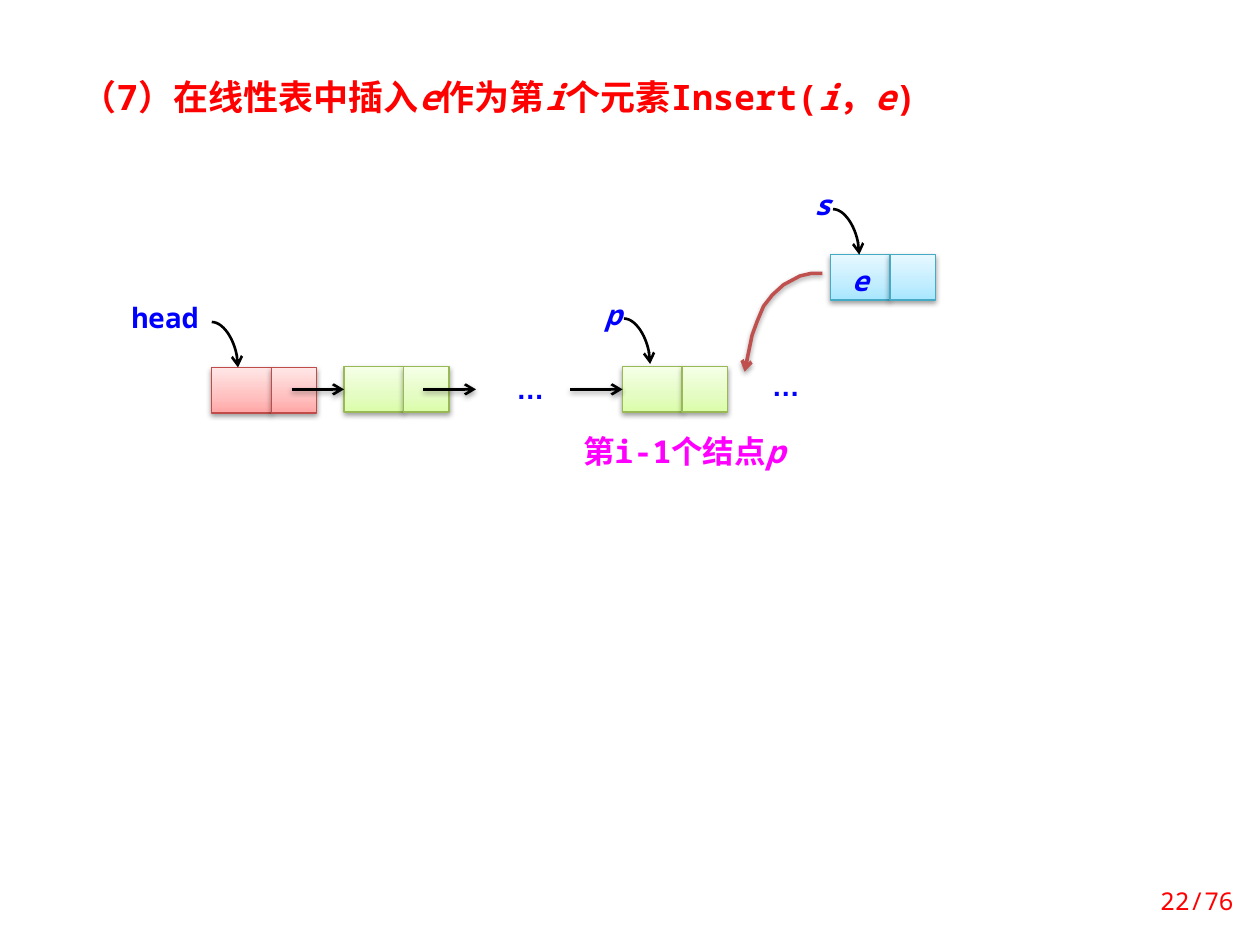
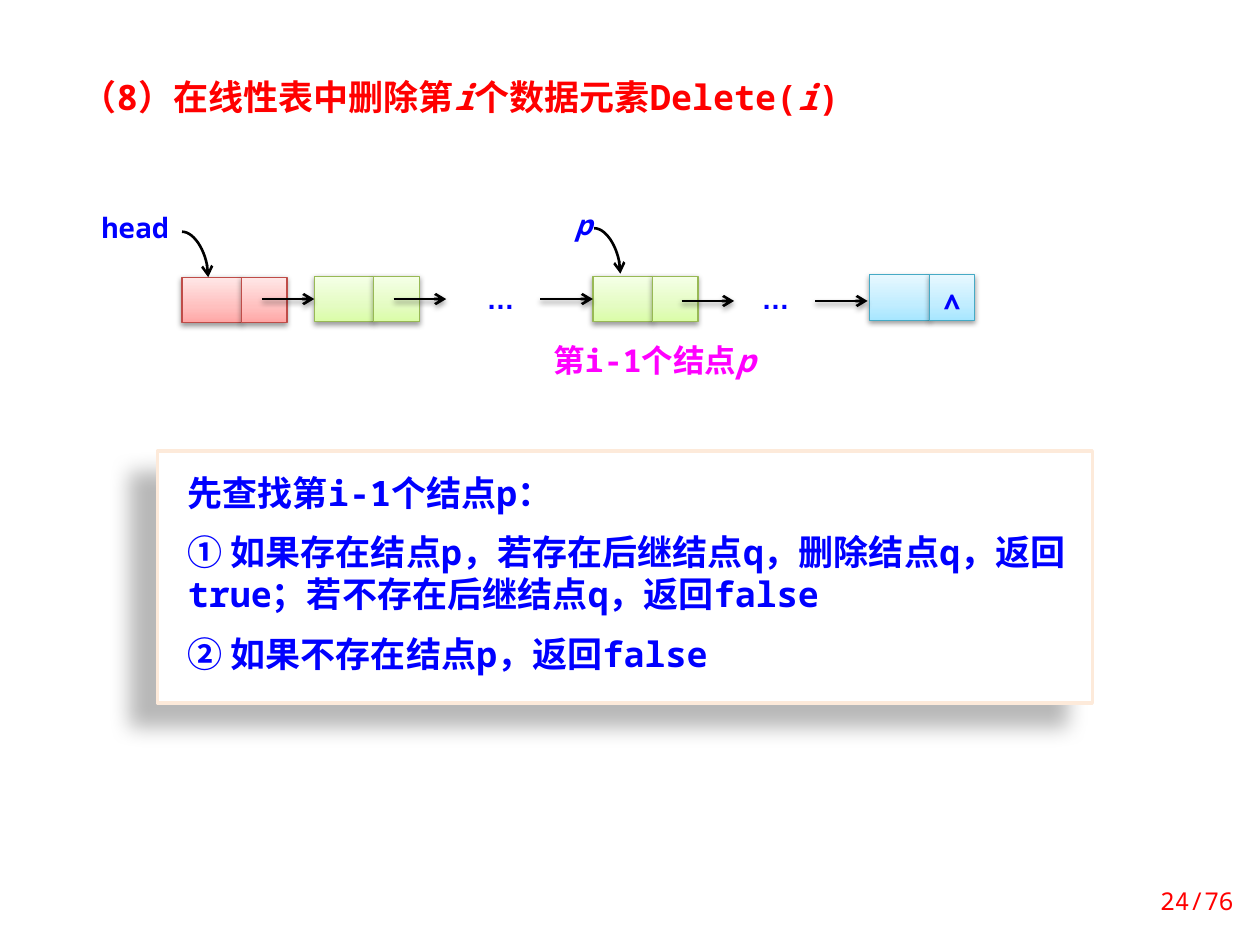
from dataclasses import dataclass

from lxml.etree import SubElement
from copy import deepcopy
from pptx import Presentation
from pptx.dml.color import RGBColor as RGB
from pptx.enum.shapes import MSO_CONNECTOR as CONNECTOR, MSO_SHAPE as SHAPE
from pptx.enum.text import MSO_ANCHOR as ANCHOR, PP_ALIGN as ALIGN
from pptx.oxml.ns import qn
from pptx.util import Pt


@dataclass(frozen=True)
class Theme:
    font: str = "Noto Sans Mono"
    dots_font: str = "Arial"
    title_size: int = 20
    caption_size: int = 18
    label_size: int = 16
    footer_size: int = 14
    red: str = "FF0000"
    blue: str = "0000FF"
    magenta: str = "FF00FF"
    black: str = "000000"
    white: str = "FFFFFF"
    brick: str = "C0504D"
    peach: str = "FDEADA"
    # Node styles: outline, then gradient from bottom to top
    pink_node: tuple = ("BF4C48", "FFA6A5", "FFC0BF", "FFE7E7")
    green_node: tuple = ("98B955", "DAFDA7", "E4FCC2", "F5FFE7")
    blue_node: tuple = ("46AAC5", "A7E6FF", "C1EDFF", "E7F8FF")
    stops: tuple = (0, 0.35, 1)
    # Shadows: opacity %, blur, distance, direction in degrees
    soft_shadow: tuple = (38, 3.1, 1.6, 90)
    panel_shadow: tuple = (28, 11.8, 19.7, 141)


THEME = Theme()
DATA_WIDTH, LINK_WIDTH, NODE_HEIGHT = 34, 26, 26
ARROW_LENGTH = 30
PAGE_TOTAL = 76


def points(*values):
    return [Pt(value) for value in values]


class ListPage:
    """One slide about a linked list, in the shared style."""

    def __init__(self, deck, title, title_width, number):
        self.page = deck.slides.add_slide(deck.slide_layouts[5])
        self.shapes = self.page.shapes
        heading = self.shapes.title
        heading.left, heading.top, heading.width, heading.height = points(
            39.6, 39.6, title_width, 32)
        heading.text_frame.vertical_anchor = ANCHOR.TOP
        self.set_text(heading, [title], THEME.title_size, THEME.red)
        footer = self.shapes.add_textbox(*points(646.6, 500.4, 65.5, 28.8))
        footer.text_frame.vertical_anchor = ANCHOR.MIDDLE
        self.set_text(footer, [f"{number}/{PAGE_TOTAL}"], THEME.footer_size,
                      THEME.red, ALIGN.RIGHT, bold=False)

    def set_text(self, box, texts, size, color, align=ALIGN.LEFT, bold=True,
                 font=THEME.font):
        """Fill a box with paragraphs; text between asterisks is italic."""
        frame = box.text_frame
        frame.word_wrap = True
        for index, text in enumerate(texts):
            para = frame.add_paragraph() if index else frame.paragraphs[0]
            para.alignment = align
            para.font.name, para.font.size, para.font.bold = font, Pt(size), bold
            para.font.color.rgb = RGB.from_string(color)
            if index:
                para.space_before = Pt(size / 2)
            for part, words in enumerate(text.split("*")):
                if words:
                    span = para.add_run()
                    span.text = words
                    if part % 2:
                        span.font.italic = True

    def outline(self, shape, color, width, arrow=False):
        shape.line.color.rgb = RGB.from_string(color)
        shape.line.width = Pt(width)
        if arrow:
            SubElement(shape._element.spPr.find(qn("a:ln")), qn("a:tailEnd"),
                       type="arrow")

    def shade(self, shape, shadow=None):
        """Replace the inherited shadow; call after the line is set."""
        effects = SubElement(shape._element.spPr, qn("a:effectLst"))
        if shadow:
            opacity, blur, distance, direction = shadow
            outer = SubElement(
                effects, qn("a:outerShdw"), blurRad=str(Pt(blur)),
                dist=str(Pt(distance)), dir=str(direction * 60000),
                rotWithShape="0")
            color = SubElement(outer, qn("a:srgbClr"), val=THEME.black)
            SubElement(color, qn("a:alpha"), val=str(opacity * 1000))

    def rectangle(self, left, top, width, height, fill=THEME.white):
        box = self.shapes.add_shape(SHAPE.RECTANGLE,
                                    *points(left, top, width, height))
        box.fill.solid()
        box.fill.fore_color.rgb = RGB.from_string(fill)
        return box

    def center_text(self, box, text, font=THEME.font):
        frame = box.text_frame
        frame.margin_left = frame.margin_right = 0
        frame.margin_top = frame.margin_bottom = 0
        frame.vertical_anchor = ANCHOR.MIDDLE
        self.set_text(box, [text], THEME.label_size, THEME.blue, ALIGN.CENTER,
                      font=font)

    def label(self, text, left, top, width, font=THEME.font):
        box = self.rectangle(left, top, width, 21)
        box.line.fill.background()
        self.shade(box)
        self.center_text(box, text, font)

    def dots(self, left, top):
        self.label("…", left, top, 31, THEME.dots_font)

    def cell(self, left, top, width, style, text):
        line, *colors = style
        box = self.rectangle(left, top, width, NODE_HEIGHT)
        box.fill.gradient()
        box.fill.gradient_angle = 90
        stop_list = box._element.spPr.xpath(".//a:gsLst")[0]
        stop_list.insert(1, deepcopy(stop_list[0]))
        for stop, position, color in zip(box.fill.gradient_stops, THEME.stops,
                                         colors):
            stop.position = position
            stop.color.rgb = RGB.from_string(color)
        self.outline(box, line, 0.75)
        self.shade(box, THEME.soft_shadow)
        if text:
            self.center_text(box, text)
            box.text_frame.paragraphs[0].line_spacing = Pt(23)
        return box

    def node(self, left, top, style, data="", link=""):
        """Draw a data cell and a link cell; return the data cell."""
        data_cell = self.cell(left, top, DATA_WIDTH, style, data)
        self.cell(left + DATA_WIDTH, top, LINK_WIDTH, style, link)
        return data_cell

    def arrow(self, left, y, target=None):
        line = self.shapes.add_connector(
            CONNECTOR.STRAIGHT, *points(left, y, left + ARROW_LENGTH, y))
        if target:
            line.end_connect(target, 1)
        self.outline(line, THEME.black, 1.5, arrow=True)
        self.shade(line, THEME.soft_shadow)

    def curve(self, corners, color, width, shadow=None):
        start, *rest = [points(*corner) for corner in corners]
        builder = self.shapes.build_freeform(*start)
        builder.add_line_segments(rest, close=False)
        line = builder.convert_to_shape()
        line.fill.background()
        self.outline(line, color, width, arrow=True)
        self.shade(line, shadow)

    def pointer(self, text, x, y, width=12):
        """Put a name left of (x, y) and bend an arrow down from there."""
        self.label(text, x - width, y - 13, width)
        reach, drop, steps = 15, 26, 16
        bend = []
        for step in range(steps + 1):
            t = step / steps
            bend.append((x + reach * (1.5 * t - 0.5 * t ** 3),
                         y + drop * (1.5 * t ** 2 - 0.5 * t ** 3)))
        self.curve(bend, THEME.black, 1.5)

    def chain(self, x, y):
        """Draw the list from its head to node p, the head node at (x, y)."""
        self.node(x, y, THEME.pink_node)
        self.pointer("head", x, y - 26, 53.4)
        first = self.node(x + 75.6, y - 0.5, THEME.green_node)
        self.arrow(x + 45.6, y + 12.5, first)
        self.dots(x + 166.5, y + 1.4)
        self.arrow(x + 121, y + 12.5)
        previous = self.node(x + 234.8, y - 0.5, THEME.green_node)
        self.arrow(x + 204.8, y + 12.5, previous)
        caption = self.shapes.add_textbox(*points(x + 205.2, y + 33.2, 129.6, 29))
        self.set_text(caption, ["第i-1个结点*p*"], THEME.caption_size,
                      THEME.magenta)
        self.pointer("*p*", x + 235.5, y - 28)

    def panel(self, texts, left, top, width, height):
        box = self.rectangle(left, top, width, height)
        self.outline(box, THEME.peach, 2)
        self.shade(box, THEME.panel_shadow)
        frame = box.text_frame
        frame.margin_left, frame.margin_right = points(17.3, 7.2)
        frame.margin_top = frame.margin_bottom = Pt(11.5)
        frame.vertical_anchor = ANCHOR.TOP
        self.set_text(box, texts, THEME.title_size, THEME.blue)


def add_insert_page(deck):
    page = ListPage(deck, "（7）在线性表中插入*e*作为第*i*个元素Insert(*i*，*e*)",
                    523.4, 22)
    page.chain(121, 210)
    page.node(474.5, 145.5, THEME.blue_node, data="*e*")
    page.pointer("*s*", 476, 119.5)
    page.curve([(470, 156.2), (463.7, 156.2), (457.2, 157.7), (447.8, 162.7),
                (441.4, 168.5), (436.3, 175), (432.7, 183.6), (429.8, 191.5),
                (425.5, 212.4)], THEME.brick, 2, THEME.soft_shadow)
    page.dots(433.5, 209.5)


def add_delete_page(deck):
    page = ListPage(deck, "（8）在线性表中删除第*i*个数据元素Delete(*i*)", 455.8, 24)
    page.chain(104, 158.4)
    page.node(497, 157, THEME.blue_node, link="∧")
    page.dots(427.7, 159.8)
    for left in (389.5, 465.8):
        page.arrow(left, 172)
    page.panel(["先查找第i-1个结点p：",
                "① 如果存在结点p，若存在后继结点q，删除结点q，返回true；"
                "若不存在后继结点q，返回false",
                "② 如果不存在结点p，返回false"], 90, 257.8, 534.2, 144)


def main():
    deck = Presentation()
    deck.slide_width, deck.slide_height = points(720, 540)
    add_insert_page(deck)
    add_delete_page(deck)
    deck.save("out.pptx")


if __name__ == "__main__":
    main()
